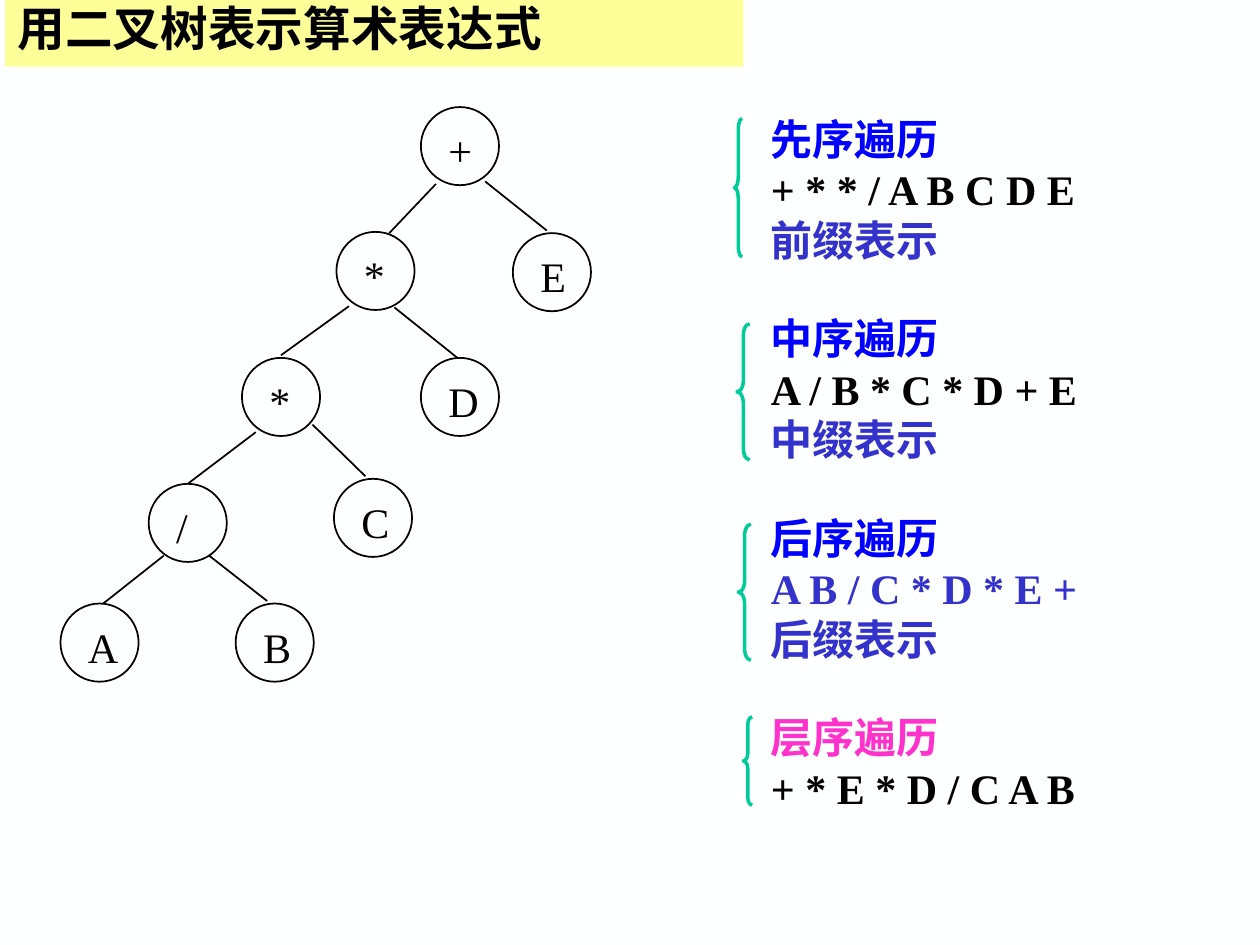
from lxml import etree
from pptx import Presentation
from pptx.dml.color import RGBColor
from pptx.enum import shapes, text
from pptx.oxml import ns
from pptx.util import Inches, Pt

BLACK = RGBColor(0x00, 0x00, 0x00)
BLUE = RGBColor(0x00, 0x00, 0xFF)
INDIGO = RGBColor(0x33, 0x33, 0xCC)
PINK = RGBColor(0xFF, 0x33, 0xCC)
GREEN = RGBColor(0x00, 0xCC, 0x99)
YELLOW = RGBColor(0xFF, 0xFF, 0x99)
PAPER = RGBColor(0xFE, 0xFF, 0xFF)

SERIF = "Times New Roman"
SANS = "Noto Sans CJK SC"
NODE = 0.62
LINE_GAP = Pt(27.6)

# Label, label width, left and top of each circle within the tree
NODES = [
    ("+", 0.39, 2.86, 0), ("*", 0.37, 2.19, 0.99), ("E", 0.41, 3.59, 1),
    ("*", 0.37, 1.44, 1.99), ("D", 0.44, 2.86, 1.99),
    ("/", 0.29, 0.7, 2.99), ("C", 0.42, 2.17, 2.95),
    ("A", 0.44, 0, 3.94), ("B", 0.42, 1.39, 3.94),
]
# Start and end of each branch within the tree
BRANCHES = [
    (2.98, 0.61, 2.61, 1), (3.37, 0.59, 3.86, 0.98),
    (2.29, 1.58, 1.75, 1.97), (2.65, 1.59, 3.15, 1.99),
    (1.55, 2.58, 1.01, 2.99), (2, 2.52, 2.42, 2.93),
    (0.82, 3.56, 0.34, 3.94), (1.18, 3.56, 1.64, 3.92),
]
TRAVERSALS = [
    [("先序遍历", BLUE), ("+ * * / A B C D E", BLACK), ("前缀表示", INDIGO)],
    [("中序遍历", BLUE), ("A / B * C * D + E", BLACK), ("中缀表示", INDIGO)],
    [("后序遍历", BLUE), ("A B / C * D * E +", INDIGO), ("后缀表示", INDIGO)],
    [("层序遍历", PINK), ("+ * E * D / C A B", BLACK)],
]
# Left, top, width and height of each brace within the list
BRACES = [
    (0, 0.09, 0.06, 1.1), (0.02, 1.72, 0.1, 1.08),
    (0.03, 3.31, 0.1, 1.08), (0.07, 4.84, 0.07, 0.7),
]


def add_run(p, words, size, color, font=SERIF, bold=False):
    r = p.add_run()
    r.text = words
    r.font.size = Pt(size)
    r.font.name = font
    r.font.bold = bold
    r.font.color.rgb = color
    return r


def add_text_box(parent, x, y, w, h):
    """Add an unwrapped text box and return its text frame."""
    tf = parent.add_textbox(Inches(x), Inches(y), Inches(w), Inches(h)).text_frame
    tf.word_wrap = False
    tf.auto_size = text.MSO_AUTO_SIZE.SHAPE_TO_FIT_TEXT
    return tf


def add_outline(parent, kind, x, y, w, h, color, weight):
    sp = parent.add_shape(kind, Inches(x), Inches(y), Inches(w), Inches(h))
    sp.shadow.inherit = False
    sp.fill.background()
    sp.line.color.rgb = color
    sp.line.width = Pt(weight)
    return sp


def add_title(slide, x, y, w, h):
    sp = slide.shapes.title
    sp.left, sp.top, sp.width, sp.height = map(Inches, (x, y, w, h))
    sp.fill.solid()
    sp.fill.fore_color.rgb = YELLOW
    tf = sp.text_frame
    tf.word_wrap = True
    tf.auto_size = text.MSO_AUTO_SIZE.NONE
    tf.vertical_anchor = text.MSO_ANCHOR.MIDDLE
    p = tf.paragraphs[0]
    p.alignment = text.PP_ALIGN.LEFT
    p.line_spacing = 0.9
    r = add_run(p, "用二叉树表示算术表达式", 27.2, BLACK, SANS, True)
    etree.SubElement(r.font._element, ns.qn("a:ea"), typeface=SANS)


def add_tree(slide, x, y):
    tree = slide.shapes.add_group_shape().shapes
    for label, width, dx, dy in NODES:
        add_outline(tree, shapes.MSO_SHAPE.OVAL, x + dx, y + dy,
                    NODE, NODE, BLACK, 1)
        tf = add_text_box(tree, x + dx + 0.12, y + dy + 0.09, width, 0.5)
        add_run(tf.paragraphs[0], label, 24, BLACK)
    for x1, y1, x2, y2 in BRANCHES:
        line = tree.add_connector(
            shapes.MSO_CONNECTOR.STRAIGHT,
            Inches(x + x1), Inches(y + y1), Inches(x + x2), Inches(y + y2))
        line.line.color.rgb = BLACK
        line.line.width = Pt(1)
        etree.SubElement(line._element.spPr, ns.qn("a:effectLst"))


def add_traversals(slide, x, y):
    tf = add_text_box(slide.shapes, x + 0.19, y, 2.65, 5.7)
    p = tf.paragraphs[0]
    for i, block in enumerate(TRAVERSALS):
        for j, (words, color) in enumerate(block):
            if i or j:
                p = tf.add_paragraph()
            if i and not j:
                p.space_before = LINE_GAP
            add_run(p, words, 24, color, bold=True)

    braces = slide.shapes.add_group_shape().shapes
    for dx, dy, w, h in BRACES:
        brace = add_outline(braces, shapes.MSO_SHAPE.LEFT_BRACE,
                            x + dx, y + dy, w, h, GREEN, 2)
        brace.adjustments[0] = h / 12 / w


def main():
    prs = Presentation()
    prs.slide_width, prs.slide_height = Inches(10), Inches(7.5)
    slide = prs.slides.add_slide(prs.slide_layouts[5])
    slide.background.fill.solid()
    slide.background.fill.fore_color.rgb = PAPER
    add_tree(slide, 0.48, 0.85)
    add_traversals(slide, 5.83, 0.85)
    add_title(slide, 0.04, -0.03, 5.86, 0.56)
    prs.save("out.pptx")


if __name__ == "__main__":
    main()
